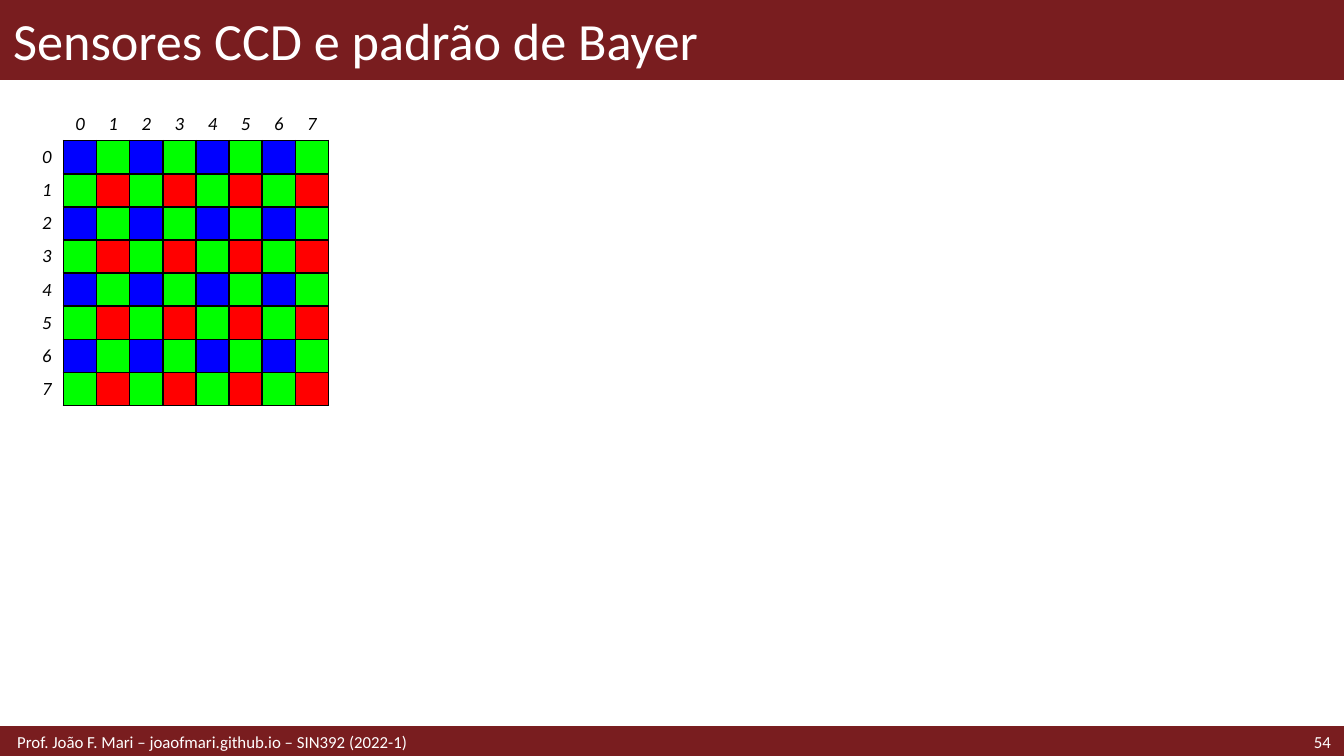
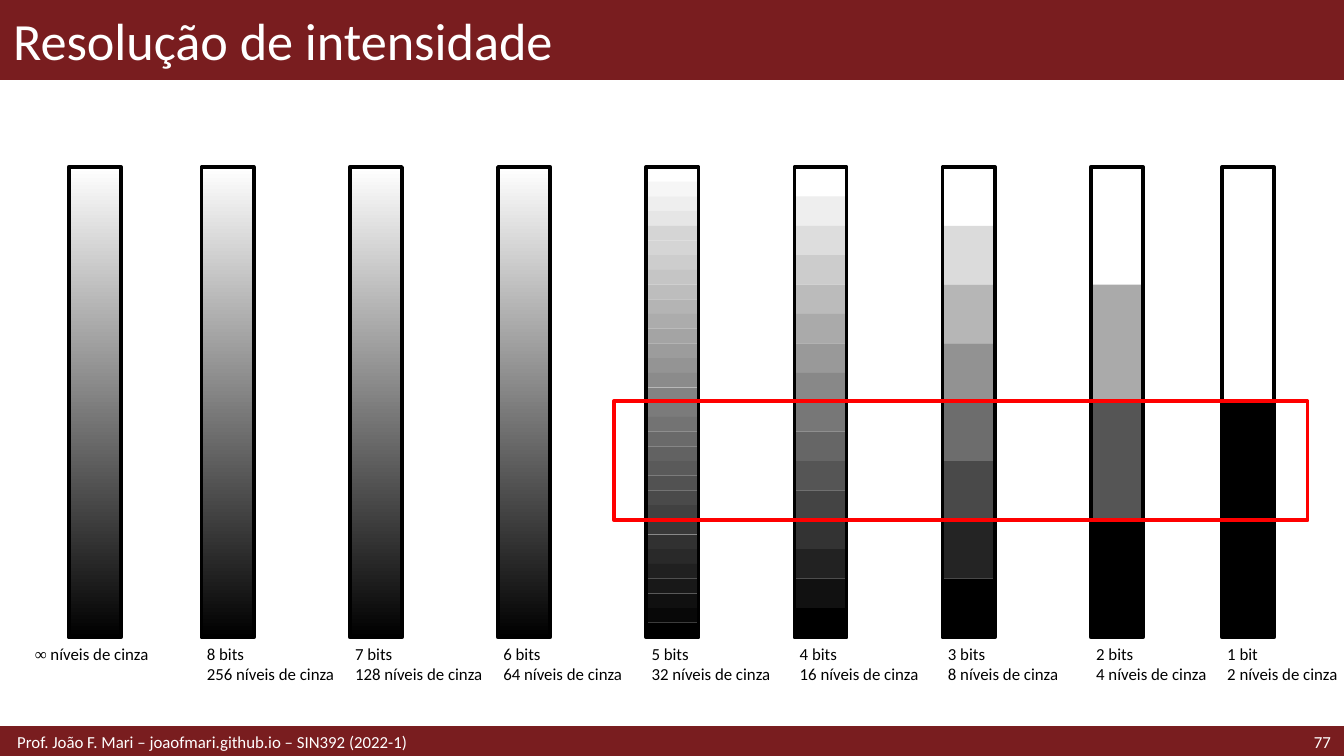
from dataclasses import dataclass, replace

from lxml import etree
from pptx import Presentation
from pptx.dml.color import RGBColor
from pptx.enum.shapes import MSO_SHAPE
from pptx.enum.text import MSO_ANCHOR, PP_ALIGN
from pptx.oxml.ns import qn
from pptx.presentation import Presentation as Deck
from pptx.shapes.autoshape import Shape
from pptx.slide import Slide
from pptx.table import _Cell
from pptx.util import Pt

RECTANGLE = MSO_SHAPE.RECTANGLE
TOP, MIDDLE = MSO_ANCHOR.TOP, MSO_ANCHOR.MIDDLE
LEFT, CENTER, RIGHT = PP_ALIGN.LEFT, PP_ALIGN.CENTER, PP_ALIGN.RIGHT

WIDTH, HEIGHT = 720, 405
MAROON, WHITE, BLACK = "791D1F", "FFFFFF", "000000"
RED, GREEN, BLUE = "FF0000", "00FF00", "0000FF"
FOOTER = "Prof. João F. Mari – joaofmari.github.io – SIN392 (2022-1)"
NO_TABLE_STYLE = "{2D5ABB26-0587-4C30-8999-92F81FD0307C}"
GRID_SIZE = 8
CELL_SIZE = 17.75
BAR_TOP, BAR_WIDTH, BAR_HEIGHT = 89.5, 28, 252
BAR_PITCH = 79.4


@dataclass(frozen=True)
class Box:
    left: float
    top: float
    width: float
    height: float


@dataclass(frozen=True)
class TextStyle:
    size: float
    color: str
    font: str = "Calibri"
    italic: bool = False
    align: PP_ALIGN = LEFT
    anchor: MSO_ANCHOR = MIDDLE
    margin_x: float = 7.2
    margin_y: float = 0


@dataclass(frozen=True)
class GrayBar:
    left: float
    lines: tuple[str, ...]
    banded_bits: int = 0
    label_width: float = 70.5
    label_offset: float = 0


TITLE_STYLE = TextStyle(28, WHITE)
FOOTER_STYLE = TextStyle(9, WHITE, margin_x=9.2)
NUMBER_STYLE = TextStyle(9, WHITE, align=RIGHT)
LABEL_STYLE = TextStyle(9, BLACK, anchor=TOP, margin_x=2.83, margin_y=2.83)
INFINITY_STYLE = replace(LABEL_STYLE, font="Times New Roman")
INDEX_STYLE = TextStyle(10, BLACK, italic=True, align=CENTER)


def rgb(color: str) -> RGBColor:
    return RGBColor.from_string(color)


def format_run(run, style: TextStyle) -> None:
    run.font.name = style.font
    run.font.size = Pt(style.size)
    run.font.italic = style.italic
    run.font.color.rgb = rgb(style.color)


def add_text(slide: Slide, box: Box, lines: tuple[str, ...], style: TextStyle) -> Shape:
    shape = slide.shapes.add_textbox(
        Pt(box.left), Pt(box.top), Pt(box.width), Pt(box.height)
    )
    frame = shape.text_frame
    frame.word_wrap = True
    frame.vertical_anchor = style.anchor
    frame.margin_left = frame.margin_right = Pt(style.margin_x)
    frame.margin_top = frame.margin_bottom = Pt(style.margin_y)
    frame.text = "\n".join(lines)
    for paragraph in frame.paragraphs:
        paragraph.alignment = style.align
        for run in paragraph.runs:
            format_run(run, style)
    return shape


def add_rectangle(
    slide: Slide,
    box: Box,
    fill: str | None = None,
    line: str | None = None,
    line_width: float = 2,
) -> Shape:
    shape = slide.shapes.add_shape(
        RECTANGLE, Pt(box.left), Pt(box.top), Pt(box.width), Pt(box.height)
    )
    shape.shadow.inherit = False
    if fill:
        shape.fill.solid()
        shape.fill.fore_color.rgb = rgb(fill)
    else:
        shape.fill.background()
    if line:
        shape.line.color.rgb = rgb(line)
        shape.line.width = Pt(line_width)
    else:
        shape.line.fill.background()
    return shape


def add_base_slide(presentation: Deck, title: str, number: str) -> Slide:
    slide = presentation.slides.add_slide(presentation.slide_layouts[6])
    title_band = Box(0, 0, WIDTH, 42.5)
    footer_band = Box(0, 390, WIDTH, 15)
    add_rectangle(slide, title_band, MAROON, MAROON, 1)
    add_rectangle(slide, footer_band, MAROON, MAROON)
    add_text(slide, title_band, (title,), TITLE_STYLE)
    add_text(slide, Box(638, 390, 82, 15), (number,), NUMBER_STYLE)
    add_text(slide, Box(0, 390, 496, 15), (FOOTER,), FOOTER_STYLE)
    return slide


def set_borders(cell: _Cell, sides: str) -> None:
    properties = cell._tc.get_or_add_tcPr()
    for side in sides:
        line = etree.SubElement(properties, qn(f"a:ln{side}"), w=str(Pt(1)))
        fill = etree.SubElement(line, qn("a:solidFill"))
        etree.SubElement(fill, qn("a:srgbClr"), val=BLACK)


def bayer_color(row: int, column: int) -> str:
    if row % 2 != column % 2:
        return GREEN
    return RED if row % 2 else BLUE


def fill_cell(cell: _Cell, row: int, column: int) -> None:
    cell.margin_left = cell.margin_right = cell.margin_top = cell.margin_bottom = 0
    cell.vertical_anchor = MIDDLE
    paragraph = cell.text_frame.paragraphs[0]
    if row and column:
        set_borders(cell, "LRTB")
        cell.fill.solid()
        cell.fill.fore_color.rgb = rgb(bayer_color(row - 1, column - 1))
    else:
        set_borders(cell, "B" if column else "R" if row else "")
        cell.fill.background()
    if bool(row) != bool(column):
        paragraph.text = str(max(row, column) - 1)
        paragraph.alignment = INDEX_STYLE.align
        format_run(paragraph.runs[0], INDEX_STYLE)
    else:
        etree.SubElement(paragraph._p, qn("a:endParaRPr"), sz="1000")


def build_bayer_slide(presentation: Deck) -> None:
    slide = add_base_slide(presentation, "Sensores CCD e padrão de Bayer", "54")
    count = GRID_SIZE + 1
    side = Pt(count * CELL_SIZE)
    table = slide.shapes.add_table(count, count, Pt(16.25), Pt(57.6), side, side).table
    table.first_row = False
    table.horz_banding = False
    table._tbl.tblPr.find(qn("a:tableStyleId")).text = NO_TABLE_STYLE
    for index in range(count):
        table.columns[index].width = Pt(CELL_SIZE)
        table.rows[index].height = Pt(CELL_SIZE)
    for row in range(count):
        for column in range(count):
            fill_cell(table.cell(row, column), row, column)


def gray_tones(bits: int) -> list[str]:
    to_level = int if bits == 5 else round
    last = 2**bits - 1
    tones = [f"{to_level(255 * step / last):02X}" * 3 for step in range(last, -1, -1)]
    if bits == 5:
        tones[4] = tones[5]
    return tones


def add_gray_bar(slide: Slide, bar: GrayBar) -> None:
    outline = Box(bar.left, BAR_TOP, BAR_WIDTH, BAR_HEIGHT)
    if bar.banded_bits:
        tones = gray_tones(bar.banded_bits)
        height = BAR_HEIGHT / len(tones)
        for index, tone in enumerate(tones):
            band = Box(bar.left, BAR_TOP + index * height, BAR_WIDTH, height)
            add_rectangle(slide, band, tone)
        add_rectangle(slide, outline, line=BLACK)
    else:
        shape = add_rectangle(slide, outline, line=BLACK)
        shape.fill.gradient()
        shape.fill.gradient_angle = 270
        for stop, color in zip(shape.fill.gradient_stops, (WHITE, BLACK)):
            stop.color.rgb = rgb(color)


def add_bar_label(slide: Slide, bar: GrayBar) -> Shape:
    style = LABEL_STYLE if len(bar.lines) > 1 else INFINITY_STYLE
    box = Box(bar.left + bar.label_offset, 342, bar.label_width, 24.5)
    return add_text(slide, box, bar.lines, style)


def build_intensity_slide(presentation: Deck) -> None:
    slide = add_base_slide(presentation, "Resolução de intensidade", "77")
    continuous = GrayBar(36.8, ("∞",), label_offset=-21)
    bars = [continuous]
    for bits in range(8, 0, -1):
        left = 108 + (8 - bits) * BAR_PITCH if bits > 1 else 654.6
        unit = "bits" if bits > 1 else "bit"
        bars.append(
            GrayBar(
                left,
                (f"{bits} {unit}", f"{2**bits} níveis de cinza"),
                banded_bits=bits if bits < 6 else 0,
                label_width=79.2 if bits > 6 else 70.5,
            )
        )
    for bar in bars:
        add_gray_bar(slide, bar)
        label = add_bar_label(slide, bar)
        if bar is continuous:
            run = label.text_frame.paragraphs[0].add_run()
            run.text = " níveis de cinza"
            format_run(run, LABEL_STYLE)
    add_rectangle(slide, Box(329, 214.8, 371.5, 64), line=RED)


def main() -> None:
    presentation = Presentation()
    presentation.slide_width = Pt(WIDTH)
    presentation.slide_height = Pt(HEIGHT)
    build_bayer_slide(presentation)
    build_intensity_slide(presentation)
    presentation.save("out.pptx")


if __name__ == "__main__":
    main()
